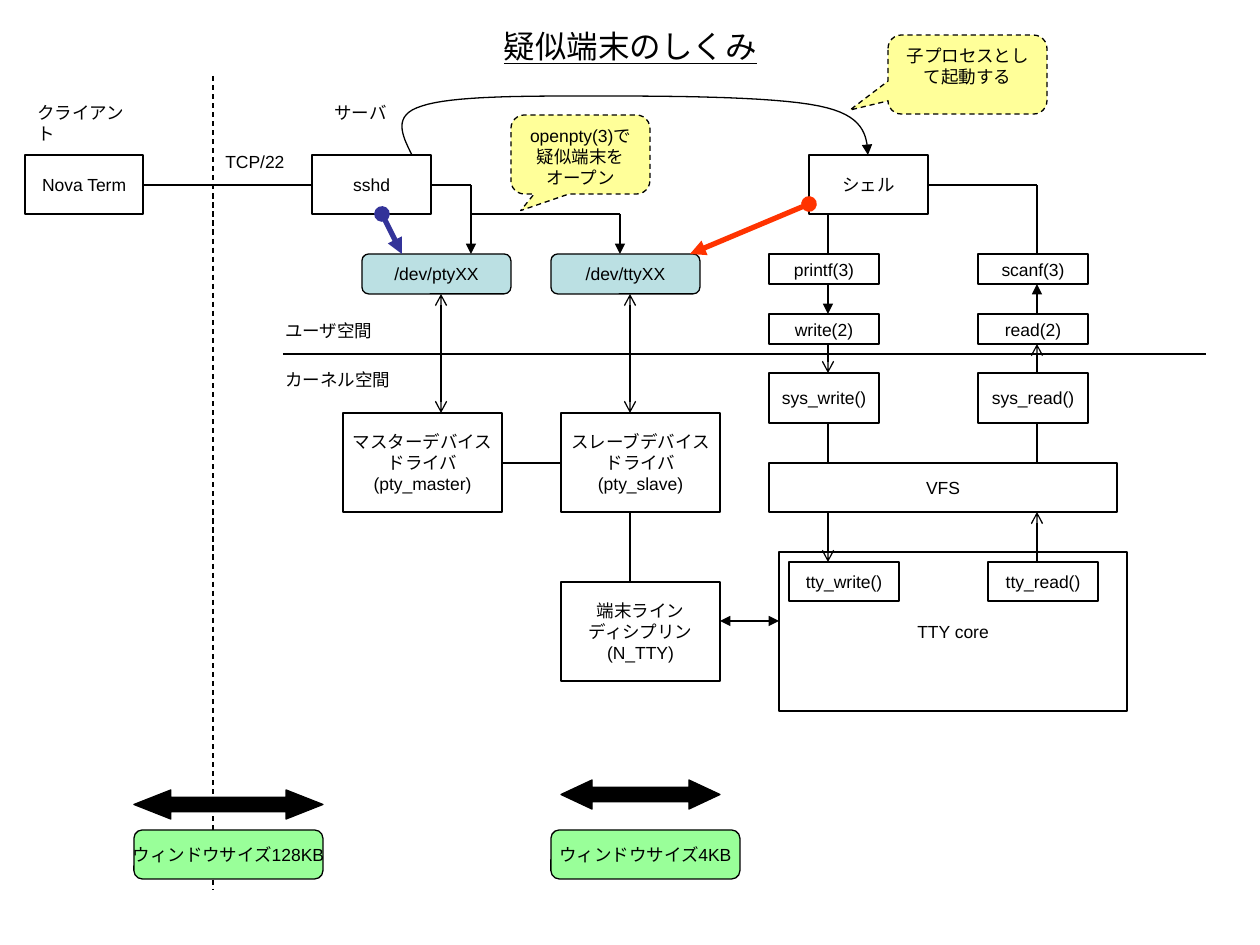
from lxml import etree
from pptx import Presentation
from pptx import util as u
from pptx.dml.color import RGBColor
from pptx.enum import dml, shapes, text
from pptx.oxml.ns import qn

PX = 914400 / 126
BLACK = RGBColor(0x00, 0x00, 0x00)
TEAL = RGBColor(0xBB, 0xE0, 0xE3)
YELLOW = RGBColor(0xFF, 0xFF, 0x99)
GREEN = RGBColor(0x99, 0xFF, 0x99)
BLUE = RGBColor(0x33, 0x33, 0x99)
RED = RGBColor(0xFF, 0x33, 0x00)
FONT = "Arial"
KIND = shapes.MSO_SHAPE

TITLE = ("疑似端末のしくみ", (95, 16, 1071, 60))
LABELS = [
    ("クライアント", (25, 96, 118, 55)),
    ("サーバ", (322, 96, 118, 34)),
    ("TCP/22", (213, 145, 100, 34)),
    ("ユーザ空間", (273, 314, 118, 34)),
    ("カーネル空間", (273, 363, 139, 34)),
]
BOXES = [
    ("Nova Term", (25, 155, 118, 59)),
    ("sshd", (312, 155, 119, 59)),
    ("シェル", (809, 155, 119, 59)),
    ("マスターデバイス\nドライバ\n(pty_master)", (343, 413, 159, 99)),
    ("スレーブデバイス\nドライバ\n(pty_slave)", (561, 413, 159, 99)),
    ("端末ライン\nディシプリン\n(N_TTY)", (561, 582, 159, 99)),
    ("VFS", (769, 463, 348, 49)),
    ("TTY core", (779, 552, 348, 159)),
    ("tty_write()", (789, 562, 110, 39)),
    ("tty_read()", (988, 562, 110, 39)),
]
CALL_ROWS = [(254, 30), (314, 30), (373, 50)]
CALL_COLUMNS = [
    (769, ("printf(3)", "write(2)", "sys_write()")),
    (978, ("scanf(3)", "read(2)", "sys_read()")),
]
ROUNDED = [
    ("/dev/ptyXX", (362, 254, 149, 40), TEAL),
    ("/dev/ttyXX", (551, 254, 149, 40), TEAL),
    ("ウィンドウサイズ128KB", (134, 830, 189, 49), GREEN),
    ("ウィンドウサイズ4KB", (551, 830, 189, 49), GREEN),
]
CALLOUTS = [
    ("openpty(3)で疑似端末をオープン", (511, 115, 139, 79), (-0.43, 0.71, 0.17)),
    ("子プロセスとして起動する", (888, 35, 159, 79), (-0.74, 0.45, 0.17)),
]
WINDOW_ARROWS = [((134, 790, 189, 29), 1.27), ((561, 780, 159, 29), 1.07)]

PLAIN_LINES = [
    (143, 185, 312, 185), (431, 185, 471, 185), (471, 214, 620, 214),
    (283, 354, 1206, 354), (502, 463, 561, 463), (630, 512, 630, 582),
    (828, 214, 828, 254), (828, 423, 828, 463), (928, 185, 1037, 185),
    (1037, 185, 1037, 254), (1037, 423, 1037, 463),
]
ARROWS = [
    ((471, 185, 471, 254), None, "triangle"),
    ((620, 214, 620, 254), None, "triangle"),
    ((441, 294, 441, 413), "arrow", "arrow"),
    ((630, 294, 630, 413), "arrow", "arrow"),
    ((828, 284, 828, 314), None, "triangle"),
    ((828, 344, 828, 373), None, "arrow"),
    ((828, 512, 828, 562), None, "arrow"),
    ((1037, 284, 1037, 314), "triangle", None),
    ((1037, 344, 1037, 373), "arrow", None),
    ((1037, 512, 1037, 562), "arrow", None),
    ((720, 621, 779, 621), "triangle", "triangle"),
]
BOLD_ARROWS = [((382, 214, 402, 254), BLUE), ((809, 204, 690, 254), RED)]
BOUNDARY = (213, 76, 213, 889)
FORK_START = (412, 155)
FORK_CURVES = [
    ((402, 135), (392, 115), (422, 106)),
    ((451, 96), (524, 96), (591, 96)),
    ((656, 96), (772, 96), (819, 106)),
    ((864, 115), (867, 135), (868, 155)),
]
CURVE_STEPS = 16


def emu(*lengths):
    return [u.Emu(round(length * PX)) for length in lengths]


def write(shape, content, size=10, align=text.PP_ALIGN.CENTER,
          anchor=text.MSO_ANCHOR.MIDDLE, wrap=False, before=0, underline=None):
    frame = shape.text_frame
    frame.text = content
    frame.word_wrap = wrap
    frame.auto_size = text.MSO_AUTO_SIZE.NONE
    frame.vertical_anchor = anchor
    for paragraph in frame.paragraphs:
        paragraph.alignment = align
        paragraph.space_before = u.Pt(before)
        font = paragraph.runs[0].font
        font.name, font.size, font.underline = FONT, u.Pt(size), underline
        font.color.rgb = BLACK


def style_line(line, color=BLACK, width=0.75, dashed=False):
    line.color.rgb = color
    line.width = u.Pt(width)
    if dashed:
        line.dash_style = dml.MSO_LINE.DASH


def add_heads(shape, head, tail):
    outline = shape.line._get_or_add_ln()
    for tag, kind in (("a:headEnd", head), ("a:tailEnd", tail)):
        if kind:
            etree.SubElement(outline, qn(tag), type=kind)


def add_line(slide, ends, head=None, tail=None, **style):
    line = slide.shapes.add_connector(shapes.MSO_CONNECTOR.STRAIGHT, *emu(*ends))
    style_line(line.line, **style)
    add_heads(line, head, tail)
    etree.SubElement(line._element.spPr, qn("a:effectLst"))


def add_box(slide, box, kind=KIND.RECTANGLE, fill=None, adjustments=(), dashed=False):
    shape = slide.shapes.add_shape(kind, *emu(*box))
    shape.shadow.inherit = False
    if fill is None:
        shape.fill.background()
    else:
        shape.fill.solid()
        shape.fill.fore_color.rgb = fill
    style_line(shape.line, dashed=dashed)
    for index, value in enumerate(adjustments):
        shape.adjustments[index] = value
    return shape


def curve_points():
    start = FORK_START
    for first, second, end in FORK_CURVES:
        for step in range(1, CURVE_STEPS + 1):
            t = step / CURVE_STEPS
            weights = ((1 - t) ** 3, 3 * t * (1 - t) ** 2, 3 * t * t * (1 - t), t ** 3)
            corners = (start, first, second, end)
            yield emu(*(sum(w * corner[axis] for w, corner in zip(weights, corners))
                        for axis in (0, 1)))
        start = end


def add_fork_curve(slide):
    builder = slide.shapes.build_freeform(*emu(*FORK_START))
    builder.add_line_segments(list(curve_points()), close=False)
    curve = builder.convert_to_shape()
    curve.shadow.inherit = False
    curve.fill.background()
    style_line(curve.line)
    add_heads(curve, None, "triangle")


def main():
    presentation = Presentation()
    presentation.slide_width, presentation.slide_height = emu(1260, 945)
    slide = presentation.slides.add_slide(presentation.slide_layouts[5])

    title = slide.shapes.title
    title.left, title.top, title.width, title.height = emu(*TITLE[1])
    write(title, TITLE[0], size=18, wrap=True, underline=True)

    add_line(slide, BOUNDARY, dashed=True)
    for ends in PLAIN_LINES:
        add_line(slide, ends)
    for ends, head, tail in ARROWS:
        add_line(slide, ends, head, tail)
    add_fork_curve(slide)

    call_boxes = [(name, (left, top, 110, height))
                  for left, names in CALL_COLUMNS
                  for name, (top, height) in zip(names, CALL_ROWS)]
    for content, box in BOXES + call_boxes:
        write(add_box(slide, box), content)
    for content, box, fill in ROUNDED:
        write(add_box(slide, box, KIND.ROUNDED_RECTANGLE, fill, (0.17,)), content)
    for content, box, adjustments in CALLOUTS:
        callout = add_box(slide, box, KIND.ROUNDED_RECTANGULAR_CALLOUT, YELLOW,
                          adjustments, dashed=True)
        write(callout, content, anchor=text.MSO_ANCHOR.TOP, wrap=True)
    for box, head_length in WINDOW_ARROWS:
        add_box(slide, box, KIND.LEFT_RIGHT_ARROW, BLACK, (0.5, head_length))
    for ends, color in BOLD_ARROWS:
        add_line(slide, ends, "oval", "triangle", color=color, width=3)
    for content, box in LABELS:
        write(slide.shapes.add_textbox(*emu(*box)), content, align=text.PP_ALIGN.LEFT,
              anchor=text.MSO_ANCHOR.TOP, wrap=True, before=6.2)

    presentation.save("out.pptx")


if __name__ == "__main__":
    main()
